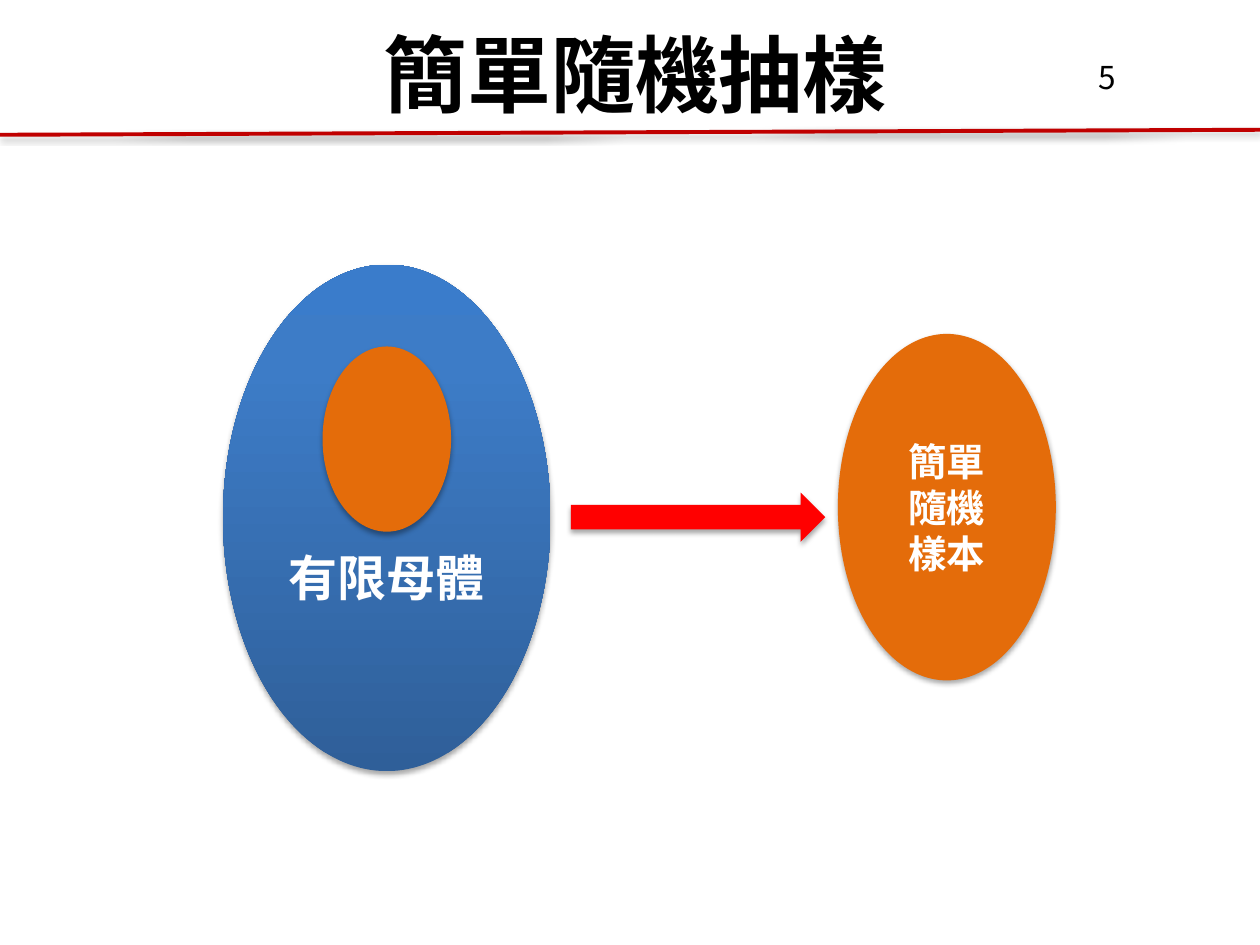
from copy import deepcopy
from typing import NamedTuple

from lxml.etree import SubElement
from pptx import Presentation
from pptx.dml.color import RGBColor
from pptx.enum.shapes import MSO_CONNECTOR, MSO_SHAPE
from pptx.enum.text import MSO_ANCHOR, MSO_AUTO_SIZE, PP_ALIGN
from pptx.oxml.ns import qn
from pptx.util import Inches, Pt

HUES = {
    "ink": "000000",
    "white": "FFFFFF",
    "rule": "C00000",
    "arrow": "FF0000",
    "sample": "E46C0A",
    "deep": "2F5F99",
    "mid": "3D7CC7",
    "light": "3A7CCB",
}
BLUES = [(0, "deep"), (0.8, "mid"), (1, "light")]
SERIF = "Times New Roman"


class Item(NamedTuple):
    kind: MSO_SHAPE
    box: tuple[float, float, float, float]
    fill: str | list[tuple[float, str]]
    text: str = ""
    size: int = 0
    top: float = 0.05


ITEMS = [
    Item(MSO_SHAPE.RIGHT_ARROW, (4.53, 3.91, 2.02, 0.39), "arrow"),
    Item(MSO_SHAPE.OVAL, (1.77, 2.1, 2.6, 4.02), BLUES, "有限母體", 28, 0.99),
    Item(MSO_SHAPE.OVAL, (2.56, 2.75, 1.02, 1.47), "sample"),
    Item(MSO_SHAPE.OVAL, (6.65, 2.65, 1.73, 2.75), "sample", "簡單\v隨機\v樣本", 22),
]


def hue(name: str) -> RGBColor:
    return RGBColor.from_string(HUES[name])


def shade(shape) -> None:
    props = shape._element.spPr
    for old in props.findall(qn("a:effectLst")):
        props.remove(old)
    glow = SubElement(
        SubElement(props, qn("a:effectLst")),
        qn("a:outerShdw"),
        blurRad=str(Pt(3.1)),
        dist=str(Pt(1.8)),
        dir="5400000",
        rotWithShape="0",
    )
    tone = SubElement(glow, qn("a:srgbClr"), val=HUES["ink"])
    SubElement(tone, qn("a:alpha"), val="35000")


def blend(shape, stops: list[tuple[float, str]]) -> None:
    shape.fill.gradient()
    shape.fill.gradient_angle = 90
    group = shape._element.spPr.find(qn("a:gradFill")).find(qn("a:gsLst"))
    while len(group) < len(stops):
        group.append(deepcopy(group[-1]))
    for stop, (place, name) in zip(shape.fill.gradient_stops, stops):
        stop.position = place
        stop.color.rgb = hue(name)


def write(shape, text: str, size: int, tone: str, face: str = SERIF,
          bold: bool = True, align: PP_ALIGN = PP_ALIGN.CENTER) -> None:
    frame = shape.text_frame
    frame.word_wrap = True
    frame.text = text
    for para in frame.paragraphs:
        para.alignment = align
        font = para.font
        font.name = face
        font.size = Pt(size)
        font.bold = bold
        font.color.rgb = hue(tone)


def draw(slide, item: Item) -> None:
    shape = slide.shapes.add_shape(item.kind, *map(Inches, item.box))
    if isinstance(item.fill, str):
        shape.fill.solid()
        shape.fill.fore_color.rgb = hue(item.fill)
    else:
        blend(shape, item.fill)
    shape.line.fill.background()
    shade(shape)
    if item.text:
        write(shape, item.text, item.size, "white")
        shape.text_frame.vertical_anchor = MSO_ANCHOR.MIDDLE
        shape.text_frame.margin_top = Inches(item.top)


def main() -> None:
    deck = Presentation()
    deck.slide_width, deck.slide_height = Inches(10), Inches(7.5)
    slide = deck.slides.add_slide(deck.slide_layouts[5])

    rule = slide.shapes.add_connector(
        MSO_CONNECTOR.STRAIGHT, Inches(0), Inches(1.07), Inches(10), Inches(1.03))
    rule.line.color.rgb = hue("rule")
    rule.line.width = Pt(2.25)
    shade(rule)

    title = slide.shapes.title
    title.left, title.top, title.width, title.height = map(
        Inches, (1.77, 0.12, 6.54, 0.91))
    write(title, "簡單隨機抽樣", 48, "ink")
    title.text_frame.auto_size = MSO_AUTO_SIZE.NONE
    title.text_frame.vertical_anchor = MSO_ANCHOR.MIDDLE

    for item in ITEMS:
        draw(slide, item)

    page = slide.shapes.add_textbox(*map(Inches, (8.62, 0.41, 2.33, 0.4)))
    write(page, "5", 18, "ink", "Noto Sans CJK SC", False, PP_ALIGN.LEFT)

    deck.save("out.pptx")


if __name__ == "__main__":
    main()
